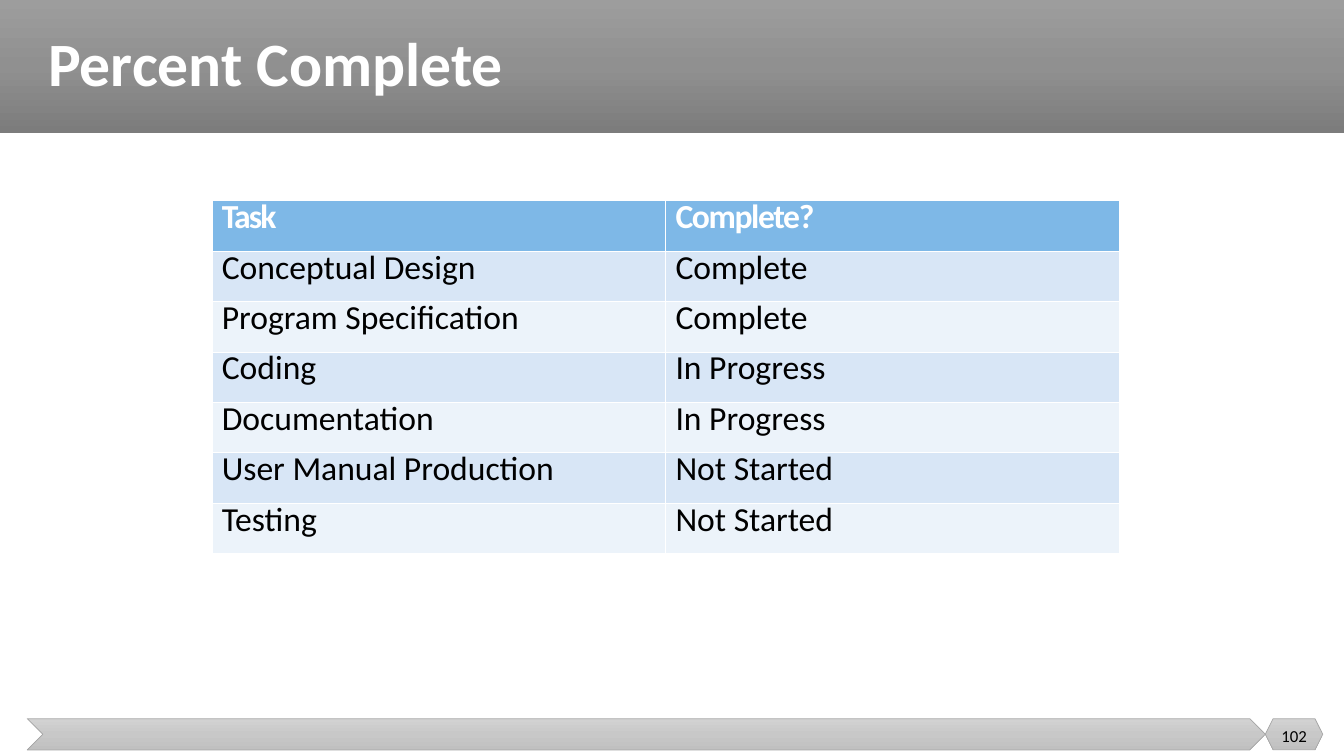
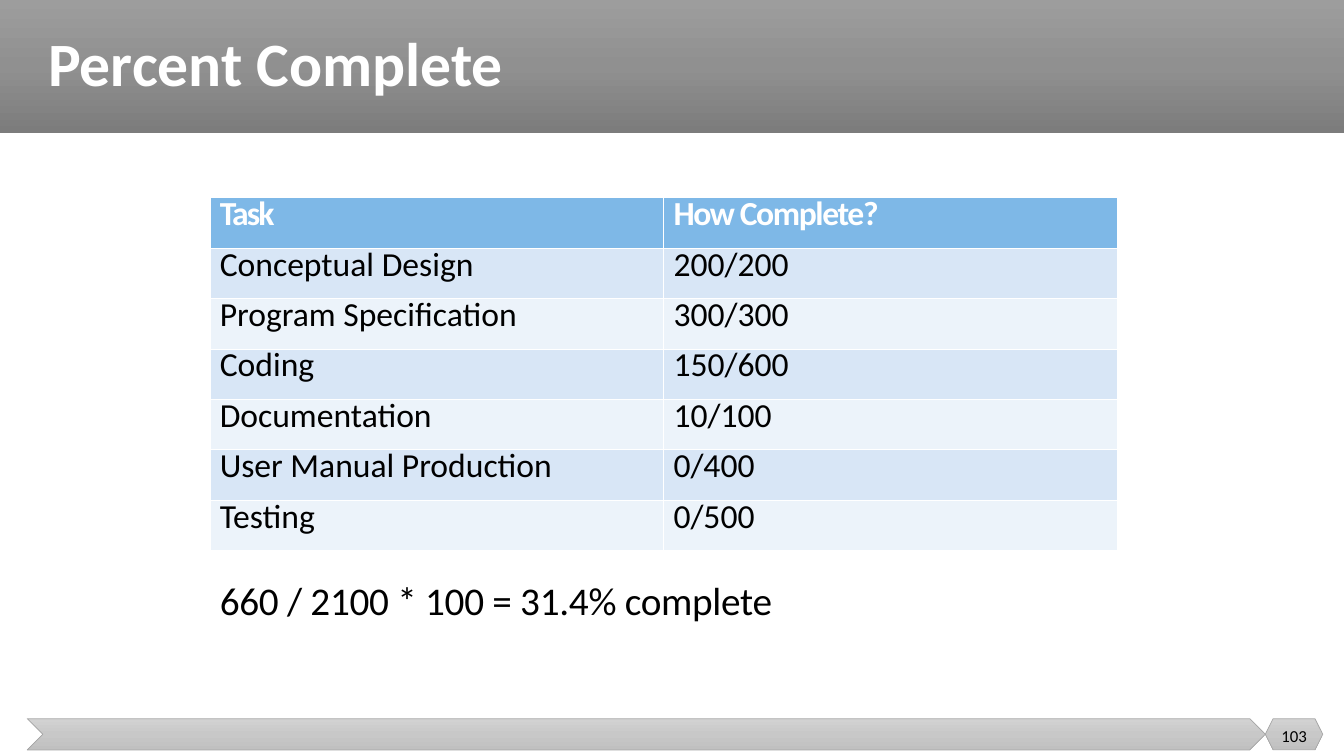
import copy
from dataclasses import dataclass

import lxml.etree
import pptx
import pptx.dml.color
import pptx.enum.shapes
import pptx.enum.text
import pptx.oxml.ns
import pptx.util

SCALE = 9144  # EMU per px, 100 px to the inch
WIDE, HIGH = 1333, 750
FONT = "Calibri"
WHITE, BLACK, EDGE = "FFFFFF", "000000", "A5A5A5"
HEAD, BANDS = "7EB8E7", ("D8E6F6", "ECF3FA")
DARK = ("9D9D9D", "909090", "7C7C7C")
PALE = ("D2D2D2", "C8C8C8", "C0C0C0")
TITLE = "Percent Complete"
TASKS = ("Conceptual Design", "Program Specification", "Coding",
         "Documentation", "User Manual Production", "Testing")
COL, ROW = 450, 50
LEAD = 26.6
KIND = pptx.enum.shapes.MSO_SHAPE
ALIGN = pptx.enum.text.PP_ALIGN
ANCHOR = pptx.enum.text.MSO_ANCHOR


@dataclass
class Box:
    left: int
    top: int
    width: int
    height: int

    def emu(self) -> list[int]:
        return [px(n) for n in (self.left, self.top, self.width, self.height)]


@dataclass
class Part:
    kind: KIND
    box: Box
    tones: tuple[str, ...]
    edge: str = ""


@dataclass
class Page:
    number: str
    left: int
    top: int
    label: str
    states: tuple[str, ...]
    sum: str = ""


PARTS = (
    Part(KIND.RECTANGLE, Box(0, 0, WIDE, 132), DARK),
    Part(KIND.CHEVRON, Box(27, 713, 1228, 31), PALE, EDGE),
    Part(KIND.HEXAGON, Box(1255, 713, 57, 31), PALE, EDGE),
)

PAGES = (
    Page("102", 210, 199, "Complete?",
         ("Complete", "Complete", "In Progress", "In Progress",
          "Not Started", "Not Started")),
    Page("103", 208, 196, "How Complete?",
         ("200/200", "300/300", "150/600", "10/100", "0/400", "0/500"),
         "660 / 2100 * 100 = 31.4% complete"),
)


def px(count: int) -> int:
    return pptx.util.Emu(count * SCALE)


def tint(code: str) -> pptx.dml.color.RGBColor:
    return pptx.dml.color.RGBColor.from_string(code)


def write(frame, words: str, *, size: int, color: str = BLACK, bold: bool = False,
          align=ALIGN.LEFT, lead=None, track: int = 0) -> None:
    """Fill a text frame; track is letter spacing in hundredths of a point."""
    para = frame.paragraphs[0]
    para.alignment = align
    if lead:
        para.line_spacing = lead
    run = para.add_run()
    run.text = words
    run.font.name, run.font.size, run.font.bold = FONT, pptx.util.Pt(size), bold
    run.font.color.rgb = tint(color)
    if track:
        run.font._element.set("spc", str(track))


def label(slide, box: Box, words: str, *, anchor=ANCHOR.MIDDLE, inset: int = 10,
          **style) -> None:
    frame = slide.shapes.add_textbox(*box.emu()).text_frame
    frame.word_wrap = True
    frame.vertical_anchor = anchor
    frame.margin_left = frame.margin_right = px(inset)
    frame.margin_top = frame.margin_bottom = px(inset // 2)
    write(frame, words, **style)


def shade(fill, tones: tuple[str, ...]) -> None:
    """Apply an even gradient running from top to bottom."""
    fill.gradient()
    fill.gradient_angle = 270
    first = fill.gradient_stops[0]._gs
    for _ in tones[2:]:
        first.addnext(copy.deepcopy(first))
    for spot, (stop, tone) in enumerate(zip(fill.gradient_stops, tones)):
        stop.position = spot / (len(tones) - 1)
        stop.color.rgb = tint(tone)


def draw(slide, part: Part) -> None:
    shape = slide.shapes.add_shape(part.kind, *part.box.emu())
    shape.shadow.inherit = False
    shade(shape.fill, part.tones)
    if part.edge:
        shape.line.color.rgb = tint(part.edge)
        shape.line.width = pptx.util.Pt(0.5)
    else:
        shape.line.fill.background()


def rule(cell) -> None:
    """Put a thin white border on all four sides of a cell."""
    name = pptx.oxml.ns.qn
    props = cell._tc.get_or_add_tcPr()
    for spot, side in enumerate(("a:lnL", "a:lnR", "a:lnT", "a:lnB")):
        line = lxml.etree.Element(name(side), w=str(pptx.util.Pt(0.25)))
        solid = lxml.etree.SubElement(line, name("a:solidFill"))
        lxml.etree.SubElement(solid, name("a:srgbClr"), val=WHITE)
        props.insert(spot, line)


def grid(slide, page: Page) -> None:
    rows = [("Task", page.label), *zip(TASKS, page.states)]
    box = Box(page.left, page.top, 2 * COL, len(rows) * ROW)
    table = slide.shapes.add_table(len(rows), 2, *box.emu()).table
    for y, row in enumerate(rows):
        for x, words in enumerate(row):
            cell = table.cell(y, x)
            cell.margin_left = px(10)
            cell.margin_right = cell.margin_top = cell.margin_bottom = 0
            cell.fill.solid()
            cell.fill.fore_color.rgb = tint(BANDS[(y - 1) % 2] if y else HEAD)
            rule(cell)
            write(cell.text_frame, words, size=24, color=BLACK if y else WHITE,
                  bold=not y, lead=pptx.util.Pt(LEAD),
                  track=0 if y else (-130, -100)[x])


def build(deck, page: Page) -> None:
    slide = deck.slides.add_slide(deck.slide_layouts[6])
    for part in PARTS:
        draw(slide, part)
    label(slide, Box(38, 0, 1274, 132), TITLE, size=44, color=WHITE, bold=True,
          lead=0.9)
    label(slide, Box(1255, 710, 57, 40), page.number, size=12,
          align=ALIGN.CENTER)
    grid(slide, page)
    if page.sum:
        label(slide, Box(218, 582, 603, 43), page.sum, anchor=ANCHOR.TOP, inset=0,
              size=28, lead=pptx.util.Pt(LEAD), track=-20)


def main() -> None:
    deck = pptx.Presentation()
    deck.slide_width, deck.slide_height = px(WIDE), px(HIGH)
    for page in PAGES:
        build(deck, page)
    deck.save("out.pptx")


if __name__ == "__main__":
    main()
